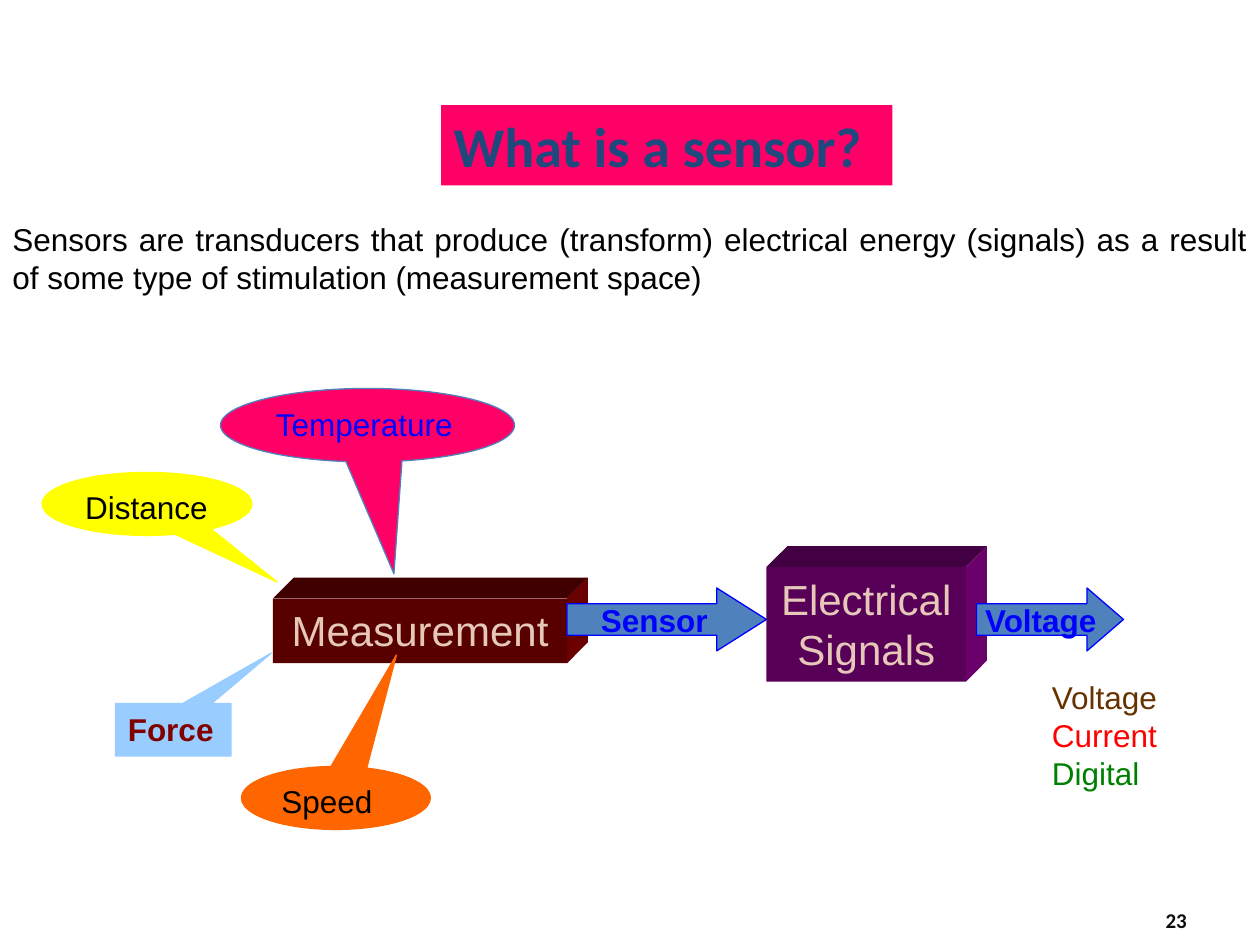
from pptx import Presentation
from pptx.dml.color import RGBColor
from pptx.enum import shapes, text
from pptx.util import Pt

COLORS = {
    "pink": "FF0066", "navy": "1F497D", "black": "000000", "blue": "0000FF",
    "steel": "4F81BD", "sky": "99CCFF", "maroon": "800000", "yellow": "FFFF00",
    "orange": "FF6600", "peach": "E6C8B8", "brown": "663300", "red": "FF0000",
    "green": "008000", "ink": "0D0D0D",
    "maroon front": "580000", "maroon top": "400000", "maroon side": "6A0000",
    "purple front": "580058", "purple top": "420042", "purple side": "6A006A",
}
SHAPE = shapes.MSO_SHAPE
ALIGN = text.PP_ALIGN
ANCHOR = text.MSO_ANCHOR
DEPTH = 12


def color(name):
    return RGBColor.from_string(COLORS[name])


def write(frame, lines, size=18, font="Arial", ink="black", bold=False,
          align=ALIGN.LEFT, anchor=ANCHOR.TOP, wrap=True):
    """Fill a frame; ink is one colour name, or a list with one per line."""
    lines = [lines] if isinstance(lines, str) else lines
    inks = [ink] * len(lines) if isinstance(ink, str) else ink
    frame.auto_size = text.MSO_AUTO_SIZE.NONE
    frame.word_wrap = wrap
    frame.vertical_anchor = anchor
    for i, (line, line_ink) in enumerate(zip(lines, inks)):
        paragraph = frame.add_paragraph() if i else frame.paragraphs[0]
        paragraph.alignment = align
        run = paragraph.add_run()
        run.text = line
        run.font.size = Pt(size)
        run.font.name = font
        run.font.bold = bold
        run.font.color.rgb = color(line_ink)


def paint(shape, fill, line=None):
    shape.shadow.inherit = False
    shape.fill.solid()
    shape.fill.fore_color.rgb = color(fill)
    if line:
        shape.line.color.rgb = color(line)
        shape.line.width = Pt(0.75)
    else:
        shape.line.fill.background()


def add_preset(slide, kind, box, fill, line=None, adjust=()):
    shape = slide.shapes.add_shape(kind, *map(Pt, box))
    paint(shape, fill, line)
    for i, value in enumerate(adjust):
        shape.adjustments[i] = value
    return shape


def add_text(slide, box, lines, **style):
    write(slide.shapes.add_textbox(*map(Pt, box)).text_frame, lines, **style)


def add_title(slide, box, words):
    title = slide.shapes.title
    title.left, title.top, title.width, title.height = map(Pt, box)
    title.fill.solid()
    title.fill.fore_color.rgb = color("pink")
    write(title.text_frame, words, size=32, font="Calibri", ink="navy",
          bold=True, wrap=False)


def add_block(slide, box, words, hue):
    """Draw a front face with a top and a right face receding up and right."""
    left, top, width, height = box
    right, bottom = left + width, top + height
    faces = {
        "top": [(left, top), (left + DEPTH, top - DEPTH),
                (right + DEPTH, top - DEPTH), (right, top)],
        "side": [(right, top), (right + DEPTH, top - DEPTH),
                 (right + DEPTH, bottom - DEPTH), (right, bottom)],
    }
    for face, corners in faces.items():
        start, *others = [(Pt(x), Pt(y)) for x, y in corners]
        builder = slide.shapes.build_freeform(*start)
        builder.add_line_segments(others)
        paint(builder.convert_to_shape(), f"{hue} {face}")
    front = add_preset(slide, SHAPE.RECTANGLE, box, f"{hue} front")
    write(front.text_frame, words, size=24, ink="peach", align=ALIGN.CENTER)


def add_callouts(slide, left, top):
    ellipse, rectangle = SHAPE.OVAL_CALLOUT, SHAPE.RECTANGULAR_CALLOUT
    stimuli = [
        ("Temperature", ellipse, (102, 0, 168, 42), (0.09, 2.02), "pink", "steel", "blue", False),
        ("Force", rectangle, (42, 180, 66, 30), (0.85, -1.46), "sky", "sky", "maroon", True),
        ("Distance", ellipse, (0, 48, 120, 36), (0.62, 1.24), "yellow", "yellow", "black", False),
        ("Speed", ellipse, (114, 216, 108, 36), (0.32, -2.27), "orange", "orange", "black", False),
    ]
    for words, kind, (x, y, width, height), tip, fill, line, ink, bold in stimuli:
        callout = add_preset(slide, kind, (left + x, top + y, width, height),
                             fill, line, tip)
        write(callout.text_frame, words, ink=ink, bold=bold)


def add_arrow(slide, box, words, head):
    arrow = add_preset(slide, SHAPE.RIGHT_ARROW, box, "steel", "blue", (0.5, head))
    write(arrow.text_frame, words, ink="blue", bold=True, align=ALIGN.CENTER,
          anchor=ANCHOR.MIDDLE, wrap=False)


def add_signal_chain(slide, left, top):
    add_block(slide, (left, top + 18, 168, 37), "Measurement", "maroon")
    add_callouts(slide, left - 132, top - 102)
    add_arrow(slide, (left + 168, top + 12, 114, 36), "Sensor", 0.79)
    add_block(slide, (left + 282, top, 114, 65.5), "Electrical Signals", "purple")
    add_arrow(slide, (left + 402, top + 12, 84, 36), "Voltage", 0.58)
    add_text(slide, (left + 438, top + 60, 81, 72), ["Voltage", "Current", "Digital"],
             ink=["brown", "red", "green"], wrap=False)


def main():
    deck = Presentation()
    deck.slide_width, deck.slide_height = Pt(720), Pt(540)
    slide = deck.slides.add_slide(deck.slide_layouts[5])
    add_title(slide, (252, 60, 258, 46), "What is a sensor?")
    add_signal_chain(slide, 156, 324)
    add_text(slide, (0, 122.4, 720, 93.6),
             "Sensors are transducers that produce (transform) electrical energy "
             "(signals) as a result of some type of stimulation (measurement space)",
             align=ALIGN.JUSTIFY)
    add_text(slide, (626.4, 511.2, 91.4, 28.8), "23", size=12, font="Calibri",
             ink="ink", bold=True, align=ALIGN.CENTER, anchor=ANCHOR.MIDDLE)
    deck.save("out.pptx")


if __name__ == "__main__":
    main()
